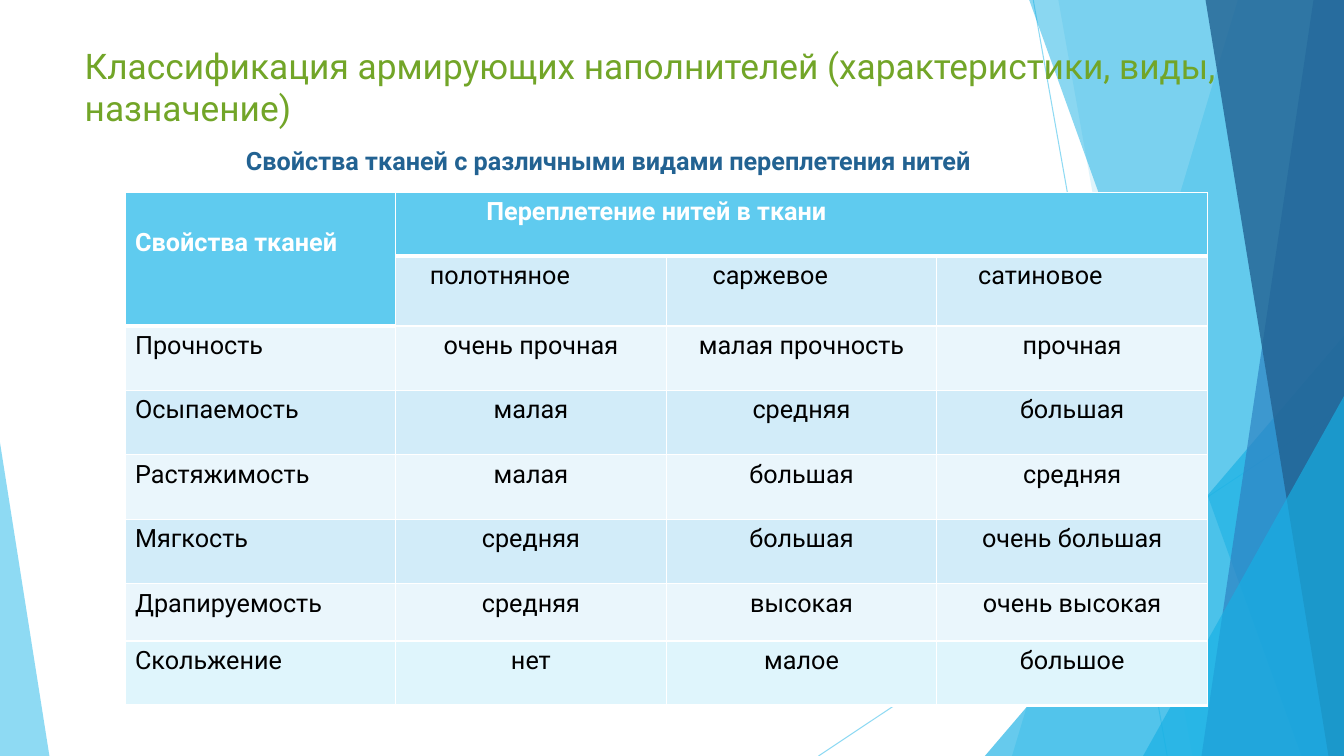
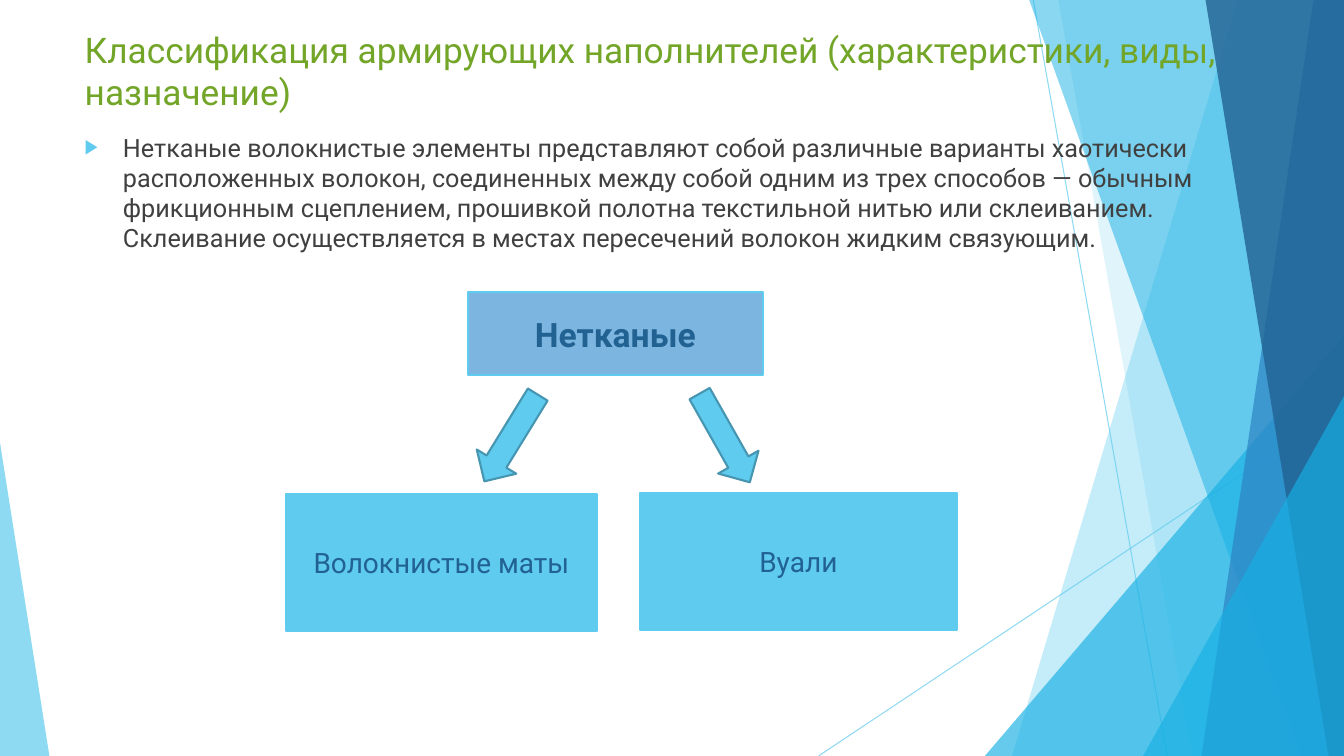
from dataclasses import dataclass
from typing import Any, Optional

from lxml.etree import SubElement
from pptx import Presentation
from pptx.dml.color import RGBColor
from pptx.enum.shapes import MSO_CONNECTOR, MSO_SHAPE
from pptx.enum.text import MSO_ANCHOR, MSO_AUTO_SIZE, PP_ALIGN
from pptx.oxml.ns import qn
from pptx.util import Inches, Pt

SLIDE_WIDTH = Inches(13.333)
SLIDE_HEIGHT = Inches(7.5)


@dataclass(frozen=True)
class Theme:
    font: str = "Roboto"
    sky: str = "5FCBEF"
    cyan: str = "17B0E4"
    blue: str = "2E83C3"
    navy: str = "226292"
    pale_blue: str = "7CB5E0"
    arrow_line: str = "4696B1"
    green: str = "72A528"
    grey: str = "404040"
    black: str = "000000"
    white: str = "FFFFFF"
    band_dark: str = "D2ECF9"
    band_light: str = "EAF6FC"
    band_last: str = "DFF5FC"
    title_size: float = 25.2
    body_size: float = 18
    box_size: float = 20
    head_size: float = 24


@dataclass(frozen=True)
class Box:
    """Place and size in percent of the slide."""
    left: float
    top: float
    width: float
    height: float

    def lengths(self) -> tuple[int, int, int, int]:
        return across(self.left), down(self.top), across(self.width), down(self.height)


@dataclass(frozen=True)
class Ray:
    start: tuple[float, float]
    end: tuple[float, float]
    color: str
    opacity: int


@dataclass(frozen=True)
class Facet:
    top_left: float
    bottom_left: float
    color: str
    opacity: int


@dataclass(frozen=True)
class Wedge:
    box: Box
    apex: float
    color: str
    opacity: int


@dataclass(frozen=True)
class Block:
    box: Box
    fill: str
    line: str
    text: str = ""
    size: float = 20
    bold: bool = False
    kind: Any = MSO_SHAPE.RECTANGLE
    rotation: float = 0


THEME = Theme()
TITLE = "Классификация армирующих наполнителей (характеристики, виды, назначение)"
TABLE_TITLE = "Свойства тканей с различными видами переплетения нитей"
NONWOVEN_TEXT = (
    "Нетканые волокнистые элементы представляют собой различные варианты хаотически "
    "расположенных волокон, соединенных между собой одним из трех способов — обычным "
    "фрикционным сцеплением, прошивкой полотна текстильной нитью или склеиванием. "
    "Склеивание осуществляется в местах пересечений волокон жидким связующим."
)
DECORATION = [
    Ray((76.88, 0), (86.85, 100), THEME.sky, 70),
    Ray((100, 53.73), (60.9, 100), THEME.sky, 70),
    Facet(92.1, 75.3, THEME.sky, 36),
    Facet(78.75, 88.73, THEME.sky, 20),
    Wedge(Box(73.28, 44.4, 26.72, 55.6), 1, THEME.cyan, 66),
    Facet(76.58, 96.83, THEME.cyan, 50),
    Facet(97.73, 89.4, THEME.blue, 70),
    Facet(89.7, 98.85, THEME.navy, 80),
    Wedge(Box(85.05, 52.4, 14.95, 47.6), 1, THEME.cyan, 66),
    Wedge(Box(0, 58.53, 3.68, 41.47), 0, THEME.sky, 70),
]
WEAVES = [("полотняное", 0.34), ("саржевое", 0.46), ("сатиновое", 0.41)]
PROPERTIES = [
    ["Прочность", "очень прочная", "малая прочность", "прочная"],
    ["Осыпаемость", "малая", "средняя", "большая"],
    ["Растяжимость", "малая", "большая", "средняя"],
    ["Мягкость", "средняя", "большая", "очень большая"],
    ["Драпируемость", "средняя", "высокая", "очень высокая"],
]
LAST_PROPERTY = ["Скольжение", "нет", "малое", "большое"]
ROW = 8.53
HEADER_ROWS = [8.4, 9.2]
BLOCKS = [
    Block(Box(34.8, 38.67, 21.98, 10.93), THEME.pale_blue, THEME.sky, "Нетканые", THEME.head_size, True),
    Block(Box(21.3, 65.33, 23.1, 18.13), THEME.sky, THEME.sky, "Волокнистые маты", THEME.box_size),
    Block(Box(47.63, 65.2, 23.55, 18.13), THEME.sky, THEME.sky, "Вуали", THEME.box_size),
    Block(Box(36.3, 51.2, 3.45, 13.47), THEME.sky, THEME.arrow_line, kind=MSO_SHAPE.DOWN_ARROW, rotation=31.6),
    Block(Box(52.2, 51.2, 3.45, 13.47), THEME.sky, THEME.arrow_line, kind=MSO_SHAPE.DOWN_ARROW, rotation=330.5),
]


def across(percent: float) -> int:
    return round(SLIDE_WIDTH * percent / 100)


def down(percent: float) -> int:
    return round(SLIDE_HEIGHT * percent / 100)


def write(frame: Any, text: str, *, size: float = THEME.body_size, color: str = THEME.black,
          bold: bool = False, align: Any = PP_ALIGN.LEFT, anchor: Any = MSO_ANCHOR.TOP,
          indent: Optional[float] = None, bullet: str = "") -> None:
    frame.word_wrap = True
    frame.vertical_anchor = anchor
    paragraph = frame.paragraphs[0]
    paragraph.alignment = align
    paragraph.space_before = Pt(0)
    if indent is not None:
        add_indent(paragraph, indent, bullet)
    run = paragraph.add_run()
    run.text = text
    run.font.name = THEME.font
    run.font.size = Pt(size)
    run.font.bold = bold
    run.font.color.rgb = RGBColor.from_string(color)


def add_indent(paragraph: Any, indent: float, bullet: str) -> None:
    properties = paragraph._p.get_or_add_pPr()
    properties.set("marL", str(Inches(indent)))
    properties.set("indent", str(-Inches(indent) if bullet else 0))
    if not bullet:
        SubElement(properties, qn("a:buNone"))
        return
    bullet_color = SubElement(properties, qn("a:buClr"))
    SubElement(bullet_color, qn("a:srgbClr"), val=THEME.sky)
    SubElement(properties, qn("a:buSzPct"), val="80000")
    SubElement(properties, qn("a:buFont"), typeface=THEME.font)
    SubElement(properties, qn("a:buChar"), char=bullet)


def draw_piece(shapes: Any, piece: Any) -> Any:
    if isinstance(piece, Ray):
        (start_x, start_y), (end_x, end_y) = piece.start, piece.end
        shape = shapes.add_connector(MSO_CONNECTOR.STRAIGHT, across(start_x), down(start_y),
                                     across(end_x), down(end_y))
        shape.line.width = Pt(0.75)
        shape.line.color.rgb = RGBColor.from_string(piece.color)
        SubElement(shape.element.spPr, qn("a:effectLst"))
    else:
        if isinstance(piece, Facet):
            builder = shapes.build_freeform(across(piece.top_left), 0)
            builder.add_line_segments([(SLIDE_WIDTH, 0), (SLIDE_WIDTH, SLIDE_HEIGHT),
                                       (across(piece.bottom_left), SLIDE_HEIGHT)])
            shape = builder.convert_to_shape()
        else:
            shape = shapes.add_shape(MSO_SHAPE.ISOSCELES_TRIANGLE, *piece.box.lengths())
            shape.adjustments[0] = piece.apex
        shape.fill.solid()
        shape.fill.fore_color.rgb = RGBColor.from_string(piece.color)
        shape.line.fill.background()
        shape.shadow.inherit = False
    for color in shape.element.spPr.iter(qn("a:srgbClr")):
        SubElement(color, qn("a:alpha"), val=str(piece.opacity * 1000))
    return shape


def decorate_layout(layout: Any, slide: Any) -> None:
    tree = layout.shapes.element
    for index, piece in enumerate(DECORATION):
        element = draw_piece(slide.shapes, piece).element
        element.xpath("./*/p:cNvPr")[0].set("id", str(100 + index))
        tree.insert(2 + index, element)


def place(placeholder: Any, box: Box, text: str, **text_format: Any) -> None:
    placeholder.left, placeholder.top, placeholder.width, placeholder.height = box.lengths()
    placeholder.text_frame.auto_size = MSO_AUTO_SIZE.NONE
    write(placeholder.text_frame, text, **text_format)


def place_title(slide: Any, top: float) -> None:
    place(slide.shapes.title, Box(5.55, top, 91.05, 3.87), TITLE, size=THEME.title_size, color=THEME.green)


def paint_cell(cell: Any, fill: str, top: float = 1, bottom: float = 1) -> None:
    cell.fill.solid()
    cell.fill.fore_color.rgb = RGBColor.from_string(fill)
    properties = cell._tc.get_or_add_tcPr()
    widths = {"a:lnL": 1, "a:lnR": 1, "a:lnT": top, "a:lnB": bottom}
    for index, (tag, width) in enumerate(widths.items()):
        border = SubElement(properties, qn(tag), w=str(Pt(width)))
        SubElement(SubElement(border, qn("a:solidFill")), qn("a:srgbClr"), val=THEME.white)
        properties.insert(index, border)


def add_grid(slide: Any, top: float, heights: list[float]) -> Any:
    box = Box(9.3, top, 80.55, sum(heights))
    table = slide.shapes.add_table(len(heights), 4, *box.lengths()).table
    table.first_row = False
    table.horz_banding = False
    for row, height in zip(table.rows, heights):
        row.height = down(height)
    return table


def fill_row(table: Any, row: int, values: list[str], fill: str, **borders: float) -> None:
    for column, value in enumerate(values):
        cell = table.cell(row, column)
        paint_cell(cell, fill, **borders)
        write(cell.text_frame, value, align=PP_ALIGN.CENTER if column else PP_ALIGN.LEFT)


def fill_header(table: Any) -> None:
    for column in range(4):
        paint_cell(table.cell(0, column), THEME.sky, bottom=3)
    paint_cell(table.cell(1, 0), THEME.sky, bottom=3)
    table.cell(0, 0).merge(table.cell(1, 0))
    table.cell(0, 1).merge(table.cell(0, 3))
    table.cell(0, 0).margin_top = Inches(0.35)
    table.cell(0, 1).margin_left = Inches(0.9)
    for column, text in enumerate(["Свойства тканей", "Переплетение нитей в ткани"]):
        write(table.cell(0, column).text_frame, text, color=THEME.white, bold=True)
    for column, (weave, margin) in enumerate(WEAVES, start=1):
        cell = table.cell(1, column)
        paint_cell(cell, THEME.band_dark, top=3)
        cell.margin_left = Inches(margin)
        write(cell.text_frame, weave)


def build_fabric_slide(slide: Any) -> None:
    place_title(slide, 5.2)
    place(slide.placeholders[1], Box(4.5, 18.53, 87.08, 74.67), TABLE_TITLE,
          color=THEME.navy, bold=True, indent=1.74)
    table = add_grid(slide, 25.47, HEADER_ROWS + [ROW] * len(PROPERTIES))
    fill_header(table)
    bands = [THEME.band_light, THEME.band_dark]
    for index, values in enumerate(PROPERTIES):
        fill_row(table, index + 2, values, bands[index % 2])
    fill_row(add_grid(slide, 84.8, [ROW]), 0, LAST_PROPERTY, THEME.band_last, bottom=3)


def add_block(slide: Any, block: Block) -> None:
    shape = slide.shapes.add_shape(block.kind, *block.box.lengths())
    shape.rotation = block.rotation
    shape.shadow.inherit = False
    shape.fill.solid()
    shape.fill.fore_color.rgb = RGBColor.from_string(block.fill)
    shape.line.color.rgb = RGBColor.from_string(block.line)
    shape.line.width = Pt(1.5)
    if block.text:
        write(shape.text_frame, block.text, size=block.size, color=THEME.navy, bold=block.bold,
              align=PP_ALIGN.CENTER, anchor=MSO_ANCHOR.MIDDLE)


def build_nonwoven_slide(slide: Any) -> None:
    place_title(slide, 3.07)
    place(slide.placeholders[1], Box(5.55, 16.8, 89.25, 71.33), NONWOVEN_TEXT,
          color=THEME.grey, indent=0.38, bullet="▶")
    for block in BLOCKS:
        add_block(slide, block)


def main() -> None:
    presentation = Presentation()
    presentation.slide_width = SLIDE_WIDTH
    presentation.slide_height = SLIDE_HEIGHT
    layout = presentation.slide_layouts[1]
    fabric_slide = presentation.slides.add_slide(layout)
    decorate_layout(layout, fabric_slide)
    build_fabric_slide(fabric_slide)
    build_nonwoven_slide(presentation.slides.add_slide(layout))
    presentation.save("out.pptx")


if __name__ == "__main__":
    main()
